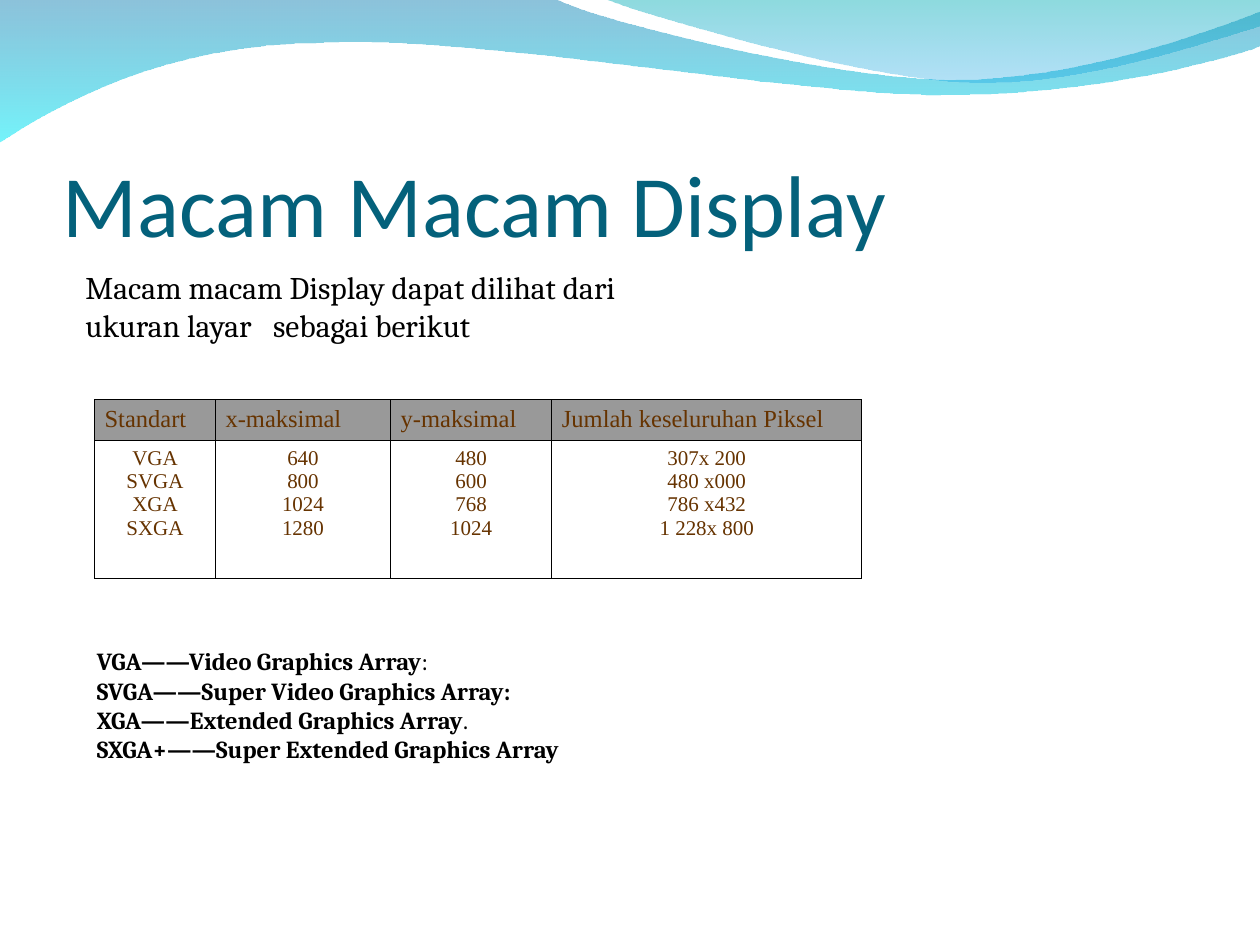
from lxml.etree import SubElement
from pptx import Presentation
from pptx.dml.color import RGBColor
from pptx.enum.text import MSO_ANCHOR, PP_ALIGN
from pptx.oxml.ns import qn
from pptx.util import Inches, Pt

BLACK = RGBColor(0x00, 0x00, 0x00)
TITLE_TEAL = RGBColor(0x04, 0x61, 0x7B)
TABLE_BROWN = RGBColor(0x66, 0x33, 0x00)
HEADER_GREY = RGBColor(0x99, 0x99, 0x99)
WAVE_BLUE = RGBColor(0x00, 0x79, 0xAF)
WAVE_CYAN = RGBColor(0x00, 0xEB, 0xF8)
CREST_TEAL = RGBColor(0x00, 0xAD, 0xB6)
CREST_BLUE = RGBColor(0x00, 0x9B, 0xE5)

# A step of one point is straight; a step of three points is a Bézier curve.
WAVE = [[(0, -0.01)], [(4.4, -0.01)],
        [(4.76, 0.17), (6.64, 0.63), (7.58, 0.63)],
        [(8.53, 0.63), (9.58, 0.26), (10, 0.09)], [(10.01, 0.36)],
        [(9.83, 0.44), (8.7, 0.76), (7.46, 0.75)],
        [(6.22, 0.75), (3.82, 0.28), (2.57, 0.34)],
        [(1.29, 0.35), (0.46, 0.83), (-0.01, 1.13)], [(0, -0.01)]]
CREST = [[(4.79, -0.01)],
         [(5.09, 0.11), (6.82, 0.62), (7.69, 0.65)],
         [(8.56, 0.69), (9.61, 0.32), (10, 0.21)],
         [(10, 0)], [(4.79, -0.01)]]

HEADERS = ["Standart", "x-maksimal", "y-maksimal", "Jumlah keseluruhan Piksel"]
COLUMNS = [["VGA", "SVGA", "XGA", "SXGA"],
           ["640", "800", "1024", "1280"],
           ["480", "600", "768", "1024"],
           ["307x 200", "480 x000", "786 x432", "1 228x 800"]]

INTRO = "Macam macam Display dapat dilihat dari ukuran layar\tsebagai berikut"

# Each line is a bold part and a plain ending.
MEANINGS = [("VGA——Video Graphics Array", ":"),
            ("SVGA——Super Video Graphics Array:", ""),
            ("XGA——Extended Graphics Array", "."),
            ("SXGA+——Super Extended Graphics Array", "")]


def bend(shape, steps):
    """Join the straight lines of each three-point step into one curve."""
    outline = shape._element.find(f".//{qn('a:path')}")
    lines = iter(outline.findall(qn("a:lnTo")))
    for step in steps[1:]:
        first, *others = [next(lines) for _ in step]
        if others:
            first.tag = qn("a:cubicBezTo")
            for line in others:
                first.append(line[0])
                outline.remove(line)


class SlideBuilder:
    title_font = "Calibri"
    body_font = "Cambria"
    table_font = "Times New Roman"

    def __init__(self, page):
        self.page = page

    def style(self, frame, font, size, color, align=PP_ALIGN.LEFT):
        for para in frame.paragraphs:
            para.alignment = align
            for span in para.runs:
                span.font.name = font
                span.font.size = Pt(size)
                span.font.color.rgb = color

    def ribbon(self, steps, *stops):
        """Draw a closed outline with a downward gradient of (colour, opacity) stops."""
        points = [(Inches(x), Inches(y)) for step in steps for x, y in step]
        builder = self.page.shapes.build_freeform(*points[0])
        builder.add_line_segments(points[1:], close=True)
        shape = builder.convert_to_shape()
        bend(shape, steps)
        shape.shadow.inherit = False
        shape.line.fill.background()
        shape.fill.gradient()
        shape.fill.gradient_angle = 270
        for stop, (color, _) in zip(shape.fill.gradient_stops, stops):
            stop.color.rgb = color
        tints = shape._element.spPr.iter(qn("a:srgbClr"))
        for tint, (_, opacity) in zip(tints, stops):
            SubElement(tint, qn("a:alpha"), val=str(opacity * 1000))

    def textbox(self, left, top, width, height, lines, font, size, color, tab=None):
        """Add a text box; each line is a bold part and a plain part."""
        box = self.page.shapes.add_textbox(
            Inches(left), Inches(top), Inches(width), Inches(height))
        frame = box.text_frame
        frame.word_wrap = True
        for index, (bold, plain) in enumerate(lines):
            para = frame.add_paragraph() if index else frame.paragraphs[0]
            if tab:
                stops = SubElement(para._p.get_or_add_pPr(), qn("a:tabLst"))
                SubElement(stops, qn("a:tab"), pos=str(Inches(tab)), algn="l")
            for text, is_bold in ((bold, True), (plain, False)):
                if text:
                    span = para.add_run()
                    span.text = text
                    span.font.bold = is_bold
        self.style(frame, font, size, color)
        return frame

    def title(self, text):
        frame = self.textbox(0.5, 0.77, 9, 1.25, [("", text)],
                             self.title_font, 50, TITLE_TEAL)
        frame.vertical_anchor = MSO_ANCHOR.BOTTOM
        frame.margin_left = frame.margin_right = frame.margin_bottom = 0

    def cell(self, cell, text, size, align, color=None):
        cell.text_frame.text = text
        self.style(cell.text_frame, self.table_font, size, TABLE_BROWN, align)
        cell.margin_left = cell.margin_right = Inches(0.08)
        cell.margin_top, cell.margin_bottom = Inches(0.05), Inches(0.04)
        properties = cell._tc.get_or_add_tcPr()
        for side in ("lnL", "lnR", "lnT", "lnB"):
            border = SubElement(properties, qn(f"a:{side}"), w=str(Pt(0.45)))
            fill = SubElement(border, qn("a:solidFill"))
            SubElement(fill, qn("a:srgbClr"), val=str(BLACK))
        if color is None:
            cell.fill.background()
        else:
            cell.fill.solid()
            cell.fill.fore_color.rgb = color

    def table(self, left, top, widths, heights, headers, columns):
        table = self.page.shapes.add_table(
            len(heights), len(widths), Inches(left), Inches(top),
            Inches(sum(widths)), Inches(sum(heights))).table
        table.first_row = table.horz_banding = False
        for row, height in zip(table.rows, heights):
            row.height = Inches(height)
        for index, width in enumerate(widths):
            table.columns[index].width = Inches(width)
            self.cell(table.cell(0, index), headers[index], 14,
                      PP_ALIGN.LEFT, HEADER_GREY)
            self.cell(table.cell(1, index), "\n".join(columns[index]), 12,
                      PP_ALIGN.CENTER)


def main():
    deck = Presentation()
    deck.slide_width, deck.slide_height = Inches(10), Inches(7.5)
    slide = SlideBuilder(deck.slides.add_slide(deck.slide_layouts[6]))
    slide.ribbon(WAVE, (WAVE_BLUE, 45), (WAVE_CYAN, 55))
    slide.ribbon(CREST, (CREST_TEAL, 45), (CREST_BLUE, 30))
    slide.title("Macam Macam Display")
    slide.table(0.75, 3.17, [0.96, 1.39, 1.28, 2.46], [0.32, 1.1],
                HEADERS, COLUMNS)
    slide.textbox(0.58, 2.08, 5, 0.7, [("", INTRO)], slide.body_font, 18, BLACK,
                  tab=1.49)
    slide.textbox(0.67, 5.08, 5.83, 1.34, MEANINGS, slide.body_font, 14, BLACK)
    deck.save("out.pptx")


if __name__ == "__main__":
    main()
